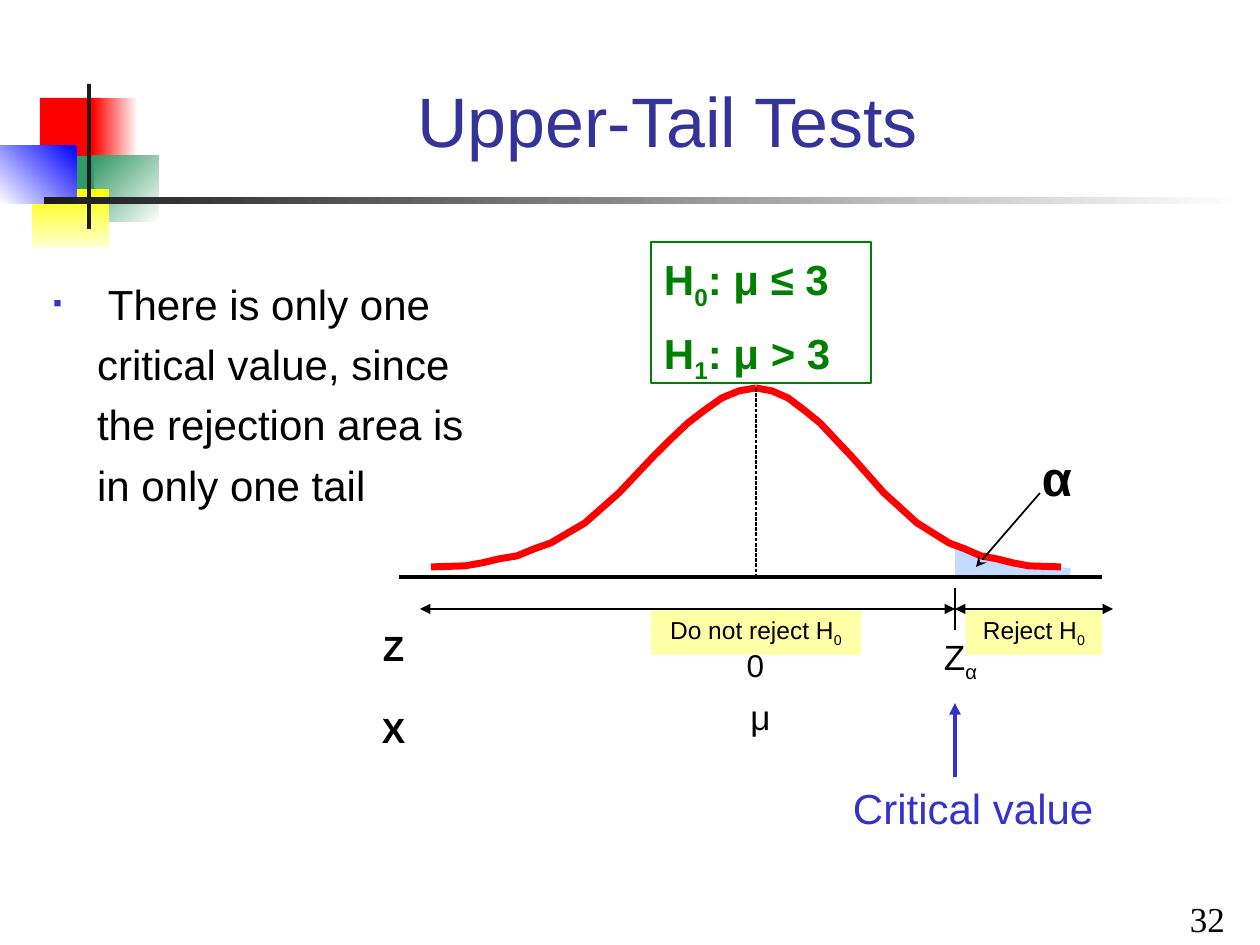
import pptx
import pptx.util
import pptx.dml.color
import pptx.enum.dml
import pptx.enum.shapes
import pptx.enum.text
import lxml.etree

PX = 914400 // 126  # EMU per px
THEME = {
    "font": "Arial", "number_font": "Times New Roman",
    "black": "000000", "ink": "1C1C1C", "white": "FFFFFF", "title": "333399",
    "accent": "3333CC", "hypothesis": "008000", "curve": "FF0000",
    "tail": "C3DBFF", "label": "FFFFA7", "red": "FF0000", "green": "339966",
    "yellow": "FFFF00", "cream": "FFFFCC", "blue": "0000FF",
    "title_size": 40, "alpha_size": 28, "body_size": 24, "axis_size": 20,
    "zero_size": 18, "label_size": 14,
}
RGB = pptx.dml.color.RGBColor.from_string
Pt = pptx.util.Pt
RECT = pptx.enum.shapes.MSO_SHAPE.RECTANGLE
ALIGN = pptx.enum.text.PP_ALIGN
ANCHOR = pptx.enum.text.MSO_ANCHOR
A = "{http://schemas.openxmlformats.org/drawingml/2006/main}"

prs = pptx.Presentation()
prs.slide_width, prs.slide_height = pptx.util.Inches(10), pptx.util.Inches(7.5)
slide = prs.slides.add_slide(prs.slide_layouts[6])
shapes = slide.shapes


def write(shape, lines, size, color="black", align=ALIGN.CENTER, bold=False,
          before=0, spacing=(None,), font="font", inset=13, anchor=ANCHOR.TOP):
    """Fill a shape with lines of text; every second part between bars is a subscript."""
    frame = shape.text_frame
    frame.word_wrap = True
    frame.vertical_anchor = anchor
    frame.margin_left = frame.margin_right = inset * PX
    frame.margin_top = frame.margin_bottom = 6 * PX
    frame.text = "\n".join(lines)
    for paragraph, line, line_spacing in zip(frame.paragraphs, lines, spacing):
        first, *rest = line.split("|")
        paragraph.text = first
        for part in rest:
            paragraph.add_run().text = part
        paragraph.alignment = align
        paragraph.space_before = Pt(before)
        if line_spacing:
            paragraph.line_spacing = line_spacing
        for i, run in enumerate(paragraph.runs):
            run.font.name, run.font.size = THEME[font], Pt(size)
            run.font.bold = bold
            run.font.color.rgb = RGB(THEME[color])
            if i % 2:
                run._r.get_or_add_rPr().set("baseline", "-25000")


def connect(x1, y1, x2, y2, width, color="black", **arrows):
    """Draw a straight line; arrows maps headEnd or tailEnd to an arrow type."""
    line = shapes.add_connector(pptx.enum.shapes.MSO_CONNECTOR.STRAIGHT,
                                x1 * PX, y1 * PX, x2 * PX, y2 * PX)
    line.line.color.rgb = RGB(THEME[color])
    line.line.width = Pt(width)
    outline = line.line._get_or_add_ln()
    for end in ("headEnd", "tailEnd"):
        if end in arrows:
            lxml.etree.SubElement(outline, A + end, type=arrows[end])
    lxml.etree.SubElement(line._element.spPr, A + "effectLst")
    return line


# Corner decoration: left, top, width, height, colours, gradient angle
for left, top, width, height, colors, angle in [
    (40, 98, 61, 66, ["red"], 0),
    (93, 98, 45, 66, ["white", "red"], 180),
    (94, 156, 65, 66, ["white", "green"], 135),
    (54, 156, 40, 66, ["green"], 0),
    (32, 189, 77, 58, ["yellow", "cream"], 270),
    (0, 146, 77, 58, ["blue", "white"], 225),
    (87, 84, 4, 145, ["ink"], 0),
    (44, 197, 1198, 7, ["white", "ink"], 180),
]:
    block = shapes.add_shape(RECT, left * PX, top * PX, width * PX, height * PX)
    block.shadow.inherit = False
    block.line.fill.background()
    if len(colors) == 1:
        block.fill.solid()
        block.fill.fore_color.rgb = RGB(THEME[colors[0]])
    else:
        block.fill.gradient()
        block.fill.gradient_angle = angle
        for stop, color in zip(block.fill.gradient_stops, colors):
            stop.color.rgb = RGB(THEME[color])

# Region labels
for left, width, wording in [(966, 136, "Reject H|0"), (651, 210, "Do not reject H|0")]:
    region = shapes.add_shape(RECT, left * PX, 609 * PX, width * PX, 46 * PX)
    region.shadow.inherit = False
    region.fill.solid()
    region.fill.fore_color.rgb = RGB(THEME["label"])
    region.line.fill.background()
    write(region, [wording], THEME["label_size"], before=8.8)

# Shaded rejection tail
MEAN, CRITICAL, AXIS = 756, 955, 577
builder = shapes.build_freeform(1070, AXIS, scale=PX)
builder.add_line_segments([(1071, 568), (1021, 566), (987, 557), (971, 554),
                           (CRITICAL, 546), (CRITICAL, AXIS)], close=True)
tail = builder.convert_to_shape()
tail.shadow.inherit = False
tail.fill.solid()
tail.fill.fore_color.rgb = RGB(THEME["tail"])
tail.line.fill.background()

# Title
title = shapes.add_textbox(159 * PX, 32 * PX, 1017 * PX, 136 * PX)
write(title, ["Upper-Tail Tests"], THEME["title_size"], "title", inset=11, anchor=ANCHOR.BOTTOM)

# Bell curve: steps from the mean (19 per half) and heights
STEPS = [19, 17, 16, 15, 14, 13, 12, 10, 8, 6, 5, 4, 3, 2, 1, 0]
HEIGHTS = [567, 566, 563, 559, 556, 549, 543, 523, 493, 457, 440, 423, 410, 398, 391, 388]
for half_width in (-325, 305):
    points = [(round(MEAN + half_width * step / 19), y) for step, y in zip(STEPS, HEIGHTS)]
    builder = shapes.build_freeform(*points[0], scale=PX)
    builder.add_line_segments(points[1:], close=False)
    half = builder.convert_to_shape()
    half.shadow.inherit = False
    half.fill.background()
    half.line.color.rgb = RGB(THEME["curve"])
    half.line.width = Pt(4)

# Axis, markers and ranges
connect(399, AXIS, 1102, AXIS, 2)
connect(1040, 493, 976, 567, 1, tailEnd="stealth")
mean_line = connect(MEAN, 388, MEAN, AXIS, 0.75)
mean_line.line.dash_style = pptx.enum.dml.MSO_LINE.SQUARE_DOT
connect(CRITICAL, 588, CRITICAL, 630, 1.5)
for start, end in [(CRITICAL, 1113), (420, CRITICAL)]:
    connect(start, 609, end, 609, 1.5, headEnd="triangle", tailEnd="triangle")
connect(CRITICAL, 777, CRITICAL, 703, 2.25, "accent", tailEnd="triangle")

# Axis captions: left, top, width, height, wording, size, colour, alignment, bold
AXIS_SIZE = THEME["axis_size"]
for left, top, width, height, wording, size, color, align, bold in [
    (1029, 441, 73, 71, "α", THEME["alpha_size"], "black", ALIGN.LEFT, True),
    (924, 630, 73, 60, "Z|α", AXIS_SIZE, "black", ALIGN.CENTER, False),
    (724, 640, 63, 50, "0", THEME["zero_size"], "black", ALIGN.CENTER, False),
    (724, 690, 73, 55, "μ", AXIS_SIZE, "black", ALIGN.CENTER, False),
    (840, 777, 273, 63, "Critical value", THEME["body_size"], "accent", ALIGN.LEFT, False),
    (357, 620, 73, 55, "Z", AXIS_SIZE, "black", ALIGN.CENTER, True),
    (357, 702, 73, 55, "X", AXIS_SIZE, "black", ALIGN.CENTER, True),
]:
    caption = shapes.add_textbox(left * PX, top * PX, width * PX, height * PX)
    write(caption, [wording], size, color, align, bold, before=size * 0.625)

# Hypotheses
hypotheses = shapes.add_shape(RECT, 651 * PX, 242 * PX, 220 * PX, 141 * PX)
hypotheses.shadow.inherit = False
hypotheses.fill.background()
hypotheses.line.color.rgb = RGB(THEME["hypothesis"])
hypotheses.line.width = Pt(0.75)
write(hypotheses, ["H|0|: μ ≤ 3", "H|1|: μ > 3"], THEME["body_size"], "hypothesis",
      ALIGN.LEFT, True, before=15, spacing=(1.1, 0.7))

# Bulleted explanation
explanation = shapes.add_textbox(42 * PX, 262 * PX, 462 * PX, 305 * PX)
write(explanation,
      [" There is only one critical value, since the rejection area is in only one tail"],
      THEME["body_size"], align=ALIGN.LEFT, before=9, spacing=(1.2,), inset=11)
bullet = explanation.text_frame.paragraphs[0]._p.get_or_add_pPr()
bullet.set("marL", str(44 * PX))
bullet.set("indent", str(-44 * PX))
bullet_color = lxml.etree.SubElement(bullet, A + "buClr")
lxml.etree.SubElement(bullet_color, A + "srgbClr", val=THEME["accent"])
lxml.etree.SubElement(bullet, A + "buSzPct", val="60000")
lxml.etree.SubElement(bullet, A + "buFont", typeface=THEME["font"])
lxml.etree.SubElement(bullet, A + "buChar", char="▪")

# Slide number
number = shapes.add_textbox(942 * PX, 901 * PX, 294 * PX, 44 * PX)
write(number, ["32"], AXIS_SIZE, align=ALIGN.RIGHT, font="number_font", inset=11,
      anchor=ANCHOR.BOTTOM)

prs.save("out.pptx")
